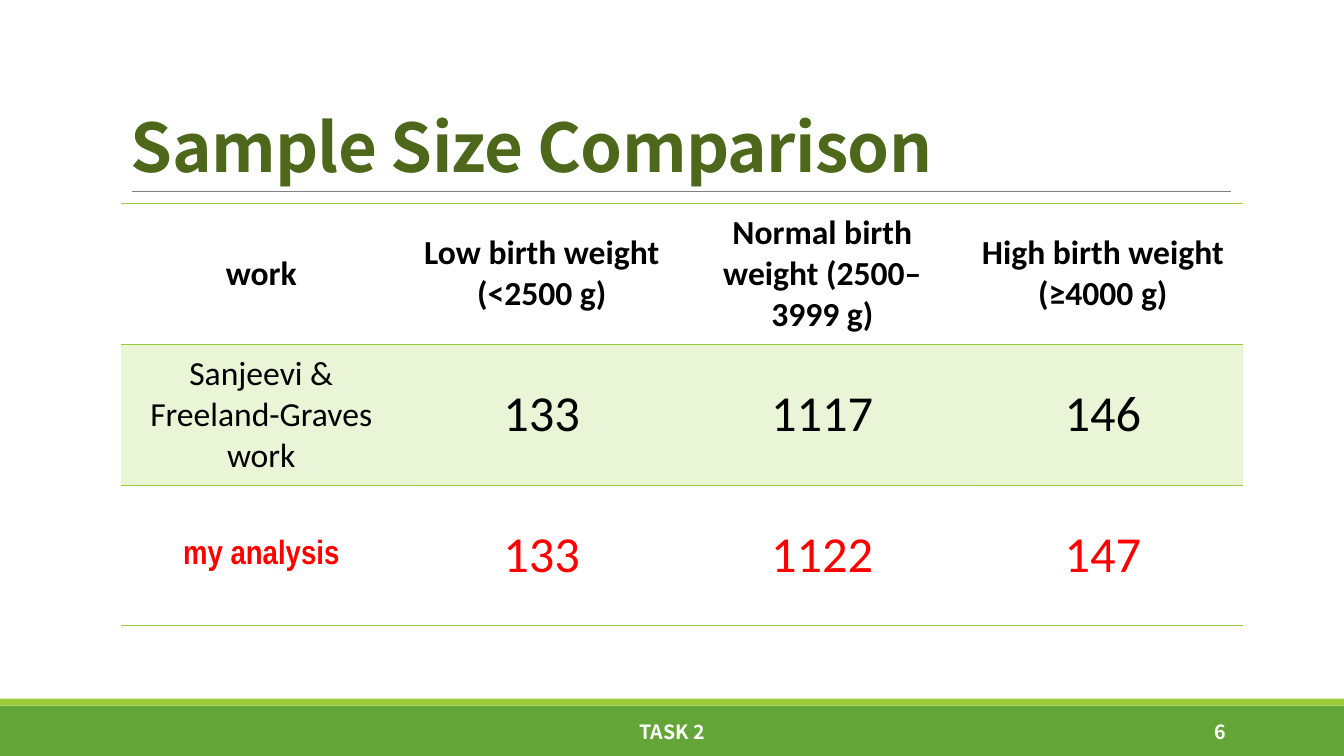
"""Build the sample size comparison slide."""
from lxml.etree import SubElement
from pptx import Presentation
from pptx.dml.color import RGBColor as Color
from pptx.enum.shapes import MSO_CONNECTOR as Connector, MSO_SHAPE as Shape
from pptx.enum.text import MSO_ANCHOR as Anchor, PP_ALIGN as Align
from pptx.oxml.ns import qn
from pptx.util import Inches, Pt

THEME = {
    "green": "63A537", "lime": "99CB38", "title": "4D671B", "rule": "808080",
    "black": "000000", "red": "FF0000", "white": "FFFFFF",
    "heading_font": "Noto Sans CJK SC", "body_font": "Calibri", "accent_font": "Arial Narrow",
    "title_size": 48, "label_size": 24, "value_size": 36, "footer_size": 14,
}
NO_STYLE = "{2D5ABB26-0587-4C30-8999-92F81FD0307C}"

presentation = Presentation()
presentation.slide_width = Inches(13.333)
presentation.slide_height = Inches(7.5)
slide = presentation.slides.add_slide(presentation.slide_layouts[6])


def share(*percents):
    """Turn alternating percentages of slide width and height into lengths."""
    sides = (presentation.slide_width, presentation.slide_height) * 2
    return [int(side * percent / 100) for side, percent in zip(sides, percents)]


def write(frame, text, color, alignment, **formats):
    """Fill a text frame with one paragraph per line of text."""
    frame.text = text
    for paragraph in frame.paragraphs:
        paragraph.alignment = alignment
        font = paragraph.runs[0].font
        font.color.rgb = Color.from_string(THEME[color])
        for name, value in formats.items():
            setattr(font, name, value)


for color, top, height in (("green", 93.33, 6.67), ("lime", 92.4, 0.93)):
    band = slide.shapes.add_shape(Shape.RECTANGLE, *share(0, top, 100, height))
    band.shadow.inherit = False
    band.fill.solid()
    band.fill.fore_color.rgb = Color.from_string(THEME[color])
    band.line.fill.background()

rule = slide.shapes.add_connector(Connector.STRAIGHT, *share(9.83, 25.33, 91.58, 25.33))
rule.line.color.rgb = Color.from_string(THEME["rule"])
rule.line.width = Pt(0.5)
SubElement(rule._element.spPr, qn("a:effectLst"))

texts = (
    ("Sample Size Comparison", (9, 4.13, 82.5, 21.2), "title", "title_size", Align.LEFT, Anchor.BOTTOM),
    ("TASK 2", (30.23, 94.13, 39.53, 5.33), "white", "footer_size", Align.CENTER, Anchor.MIDDLE),
    ("6", (81.22, 94.13, 10.72, 5.33), "white", "footer_size", Align.RIGHT, Anchor.MIDDLE),
)
for text, place, color, size, alignment, anchor in texts:
    frame = slide.shapes.add_textbox(*share(*place)).text_frame
    frame.word_wrap = True
    frame.vertical_anchor = anchor
    write(frame, text, color, alignment,
          name=THEME["heading_font"], size=Pt(THEME[size]), bold=True)
    if color == "title":
        paragraph = frame.paragraphs[0]
        paragraph.line_spacing = 0.85
        paragraph.runs[0]._r.get_or_add_rPr().set("spc", "-50")

rows = (
    ("work", "Low birth weight\n(<2500 g)", "Normal birth\nweight (2500–3999 g)",
     "High birth weight\n(≥4000 g)"),
    ("Sanjeevi & Freeland-Graves work", "133", "1117", "146"),
    ("my analysis", "133", "1122", "147"),
)
row_styles = (
    {"color": "black", "label_font": "body_font", "bold": True, "edges": ("lnT", "lnB")},
    {"color": "black", "label_font": "body_font", "bold": False, "edges": ("lnT",)},
    {"color": "red", "label_font": "accent_font", "bold": True, "edges": ("lnB",)},
)
table = slide.shapes.add_table(len(rows), len(rows[0]), *share(9, 26.93, 83.5, 55.87)).table
table.horz_banding = False
table._tbl.tblPr.find(qn("a:tableStyleId")).text = NO_STYLE

for row_index, (row, style) in enumerate(zip(rows, row_styles)):
    for column_index, text in enumerate(row):
        cell = table.cell(row_index, column_index)
        cell.vertical_anchor = Anchor.MIDDLE
        is_value = row_index > 0 and column_index > 0
        write(cell.text_frame, text, style["color"], Align.CENTER,
              name=THEME["body_font" if is_value else style["label_font"]],
              size=Pt(THEME["value_size" if is_value else "label_size"]),
              bold=style["bold"] and not is_value)
        properties = cell._tc.get_or_add_tcPr()
        for edge in style["edges"]:
            border = SubElement(properties, qn(f"a:{edge}"), w=str(Pt(1)))
            SubElement(SubElement(border, qn("a:solidFill")), qn("a:srgbClr"), val=THEME["lime"])
        if row_index == 1:
            cell.fill.solid()
            cell.fill.fore_color.rgb = Color.from_string(THEME["lime"])
            tint = properties.find(qn("a:solidFill")).find(qn("a:srgbClr"))
            SubElement(tint, qn("a:alpha"), val="20000")
        else:
            cell.fill.background()

presentation.save("out.pptx")
